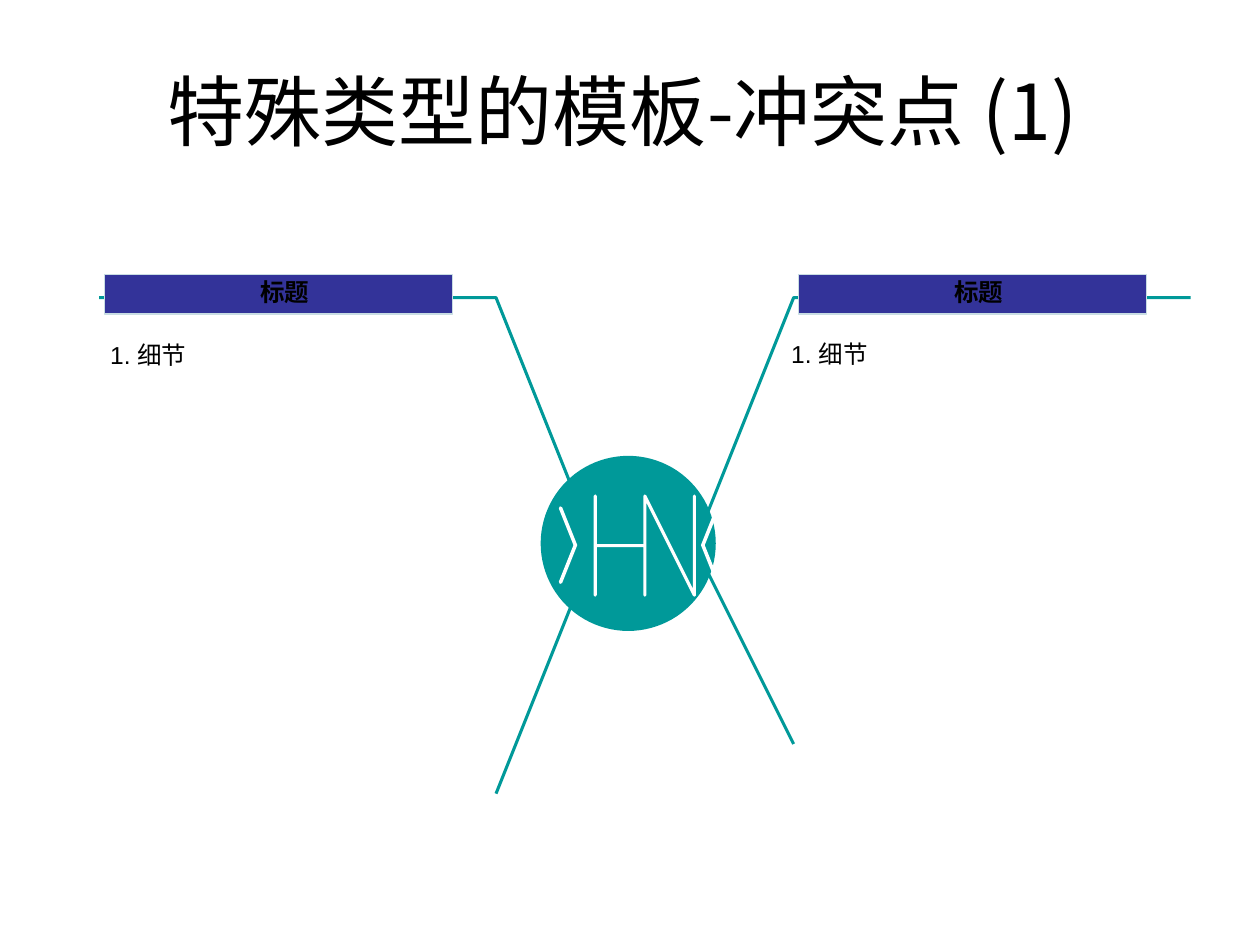
import pptx
import pptx.dml.color
import pptx.enum.shapes
import pptx.enum.text
import pptx.oxml
import pptx.oxml.ns
import pptx.util

Cm = pptx.util.Cm
Pt = pptx.util.Pt
PRESETS = pptx.enum.shapes.MSO_SHAPE
ALIGN = pptx.enum.text.PP_ALIGN
ANCHOR = pptx.enum.text.MSO_ANCHOR
TEAL = "009999"
WHITE = "FFFFFF"


def color(value):
    return pptx.dml.color.RGBColor.from_string(value)


def write(shape, text, size=14, font="Arial", bold=False, align=ALIGN.LEFT,
          anchor=ANCHOR.TOP, margins=(0.25, 0.13, 0.25, 0.13), indent=0, spacing=1.0):
    frame = shape.text_frame
    frame.word_wrap = True
    frame.auto_size = pptx.enum.text.MSO_AUTO_SIZE.NONE
    frame.vertical_anchor = anchor
    frame.margin_left, frame.margin_top, frame.margin_right, frame.margin_bottom = map(Cm, margins)
    paragraph = frame.paragraphs[0]
    properties = paragraph._p.get_or_add_pPr()
    properties.set("marL", str(Cm(indent)))
    properties.set("indent", "0")
    properties.append(pptx.oxml.parse_xml(f"<a:buNone {pptx.oxml.ns.nsdecls('a')}/>"))
    paragraph.alignment = align
    paragraph.line_spacing = spacing
    paragraph.space_before = Pt(0)
    run = paragraph.add_run()
    run.text = text
    run.font.size = Pt(size)
    run.font.name = font
    run.font.bold = bold
    run.font.color.rgb = color("000000")


presentation = pptx.Presentation()
presentation.slide_width = Cm(25.4)
presentation.slide_height = Cm(19.05)
slide = presentation.slides.add_slide(presentation.slide_layouts[3])
shapes = slide.shapes
title, left_detail, right_detail = list(slide.placeholders)[:3]

for placeholder, box in [
    (title, (1.6, 1.27, 21.9, 1.9)),
    (left_detail, (1.7, 6.73, 8.2, 0.84)),
    (right_detail, (15.7, 6.71, 9.19, 0.84)),
]:
    placeholder.left, placeholder.top, placeholder.width, placeholder.height = map(Cm, box)

write(title, "特殊类型的模板-冲突点 (1)", size=44, font="Noto Sans CJK SC",
      align=ALIGN.CENTER, anchor=ANCHOR.MIDDLE)
write(left_detail, "1. 细节", indent=0.27)
write(right_detail, "1. 细节")

right_branch = [(23.7, 6.43), (15.77, 6.43), (14, 11), (15.77, 15.47)]
left_branch = [(1.8, 6.5), (9.88, 6.5), (11.71, 11.05), (9.88, 15.52)]
spark = [
    (11.61, 10.95), (11.76, 10.95), (11.76, 10.67), (11.94, 11.23), (11.94, 10.41),
    (12.4, 11.71), (12.4, 10.67), (12.57, 11.23), (12.57, 10.21), (13.08, 11.68),
    (13.08, 10.67), (13.26, 11.23), (13.26, 10.41), (13.72, 11.68), (13.72, 10.21),
    (14.07, 11.23), (14.07, 10.95), (14.2, 10.95),
]
polylines = []
for points in (right_branch, left_branch, spark):
    if points is spark:
        circle = shapes.add_shape(PRESETS.OVAL, Cm(10.9), Cm(9.19), Cm(3.53), Cm(3.53))
    builder = shapes.build_freeform(*points[0], scale=Cm(1))
    builder.add_line_segments(points[1:], close=False)
    polylines.append(builder.convert_to_shape())

chevrons = []
for left in (11.3, 14.17):
    chevron = shapes.add_shape(PRESETS.CHEVRON, Cm(left), Cm(10.24), Cm(0.3), Cm(1.5))
    chevron.adjustments[0] = 1
    chevrons.append(chevron)
chevrons[1]._element.spPr.xfrm.set("flipH", "1")

headings = []
for left in (2.11, 16.1):
    heading = shapes.add_shape(PRESETS.RECTANGLE, Cm(left), Cm(5.54), Cm(7.01), Cm(0.79))
    write(heading, "标题", bold=True, align=ALIGN.CENTER, anchor=ANCHOR.MIDDLE,
          margins=(0.25, 0, 0, 0), spacing=Pt(14))
    headings.append(heading)

for group, fill, line, width in [
    (polylines[:2], None, TEAL, 1.75),
    ([circle], TEAL, None, 0),
    (polylines[2:], None, WHITE, 1.75),
    (chevrons, "BBE0E3", WHITE, 2),
    (headings, "333399", "C9DDE3", 0.75),
]:
    for shape in group:
        shape.shadow.inherit = False
        if fill:
            shape.fill.solid()
            shape.fill.fore_color.rgb = color(fill)
        else:
            shape.fill.background()
        if line:
            shape.line.color.rgb = color(line)
            shape.line.width = Pt(width)
        else:
            shape.line.fill.background()

presentation.save("out.pptx")
